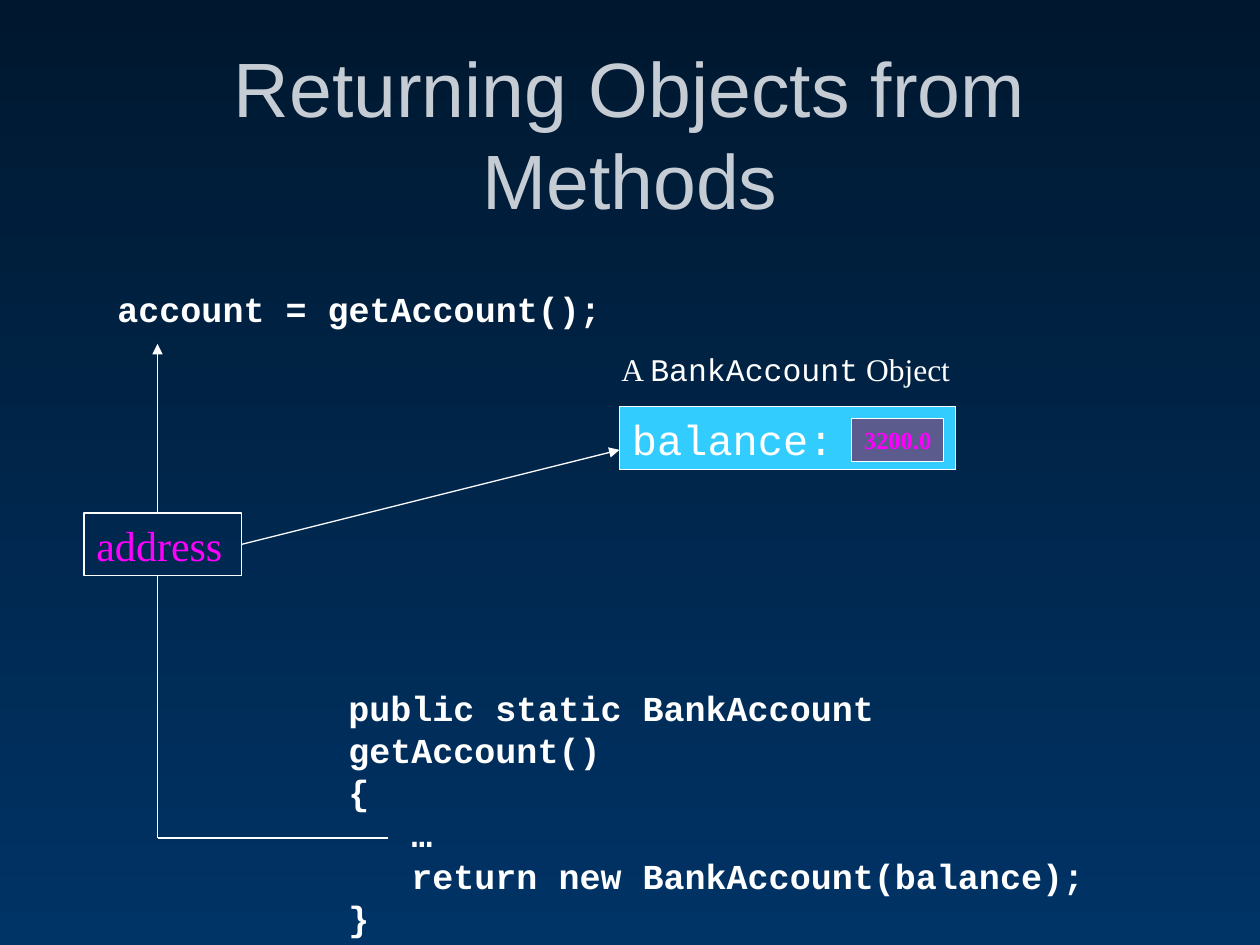
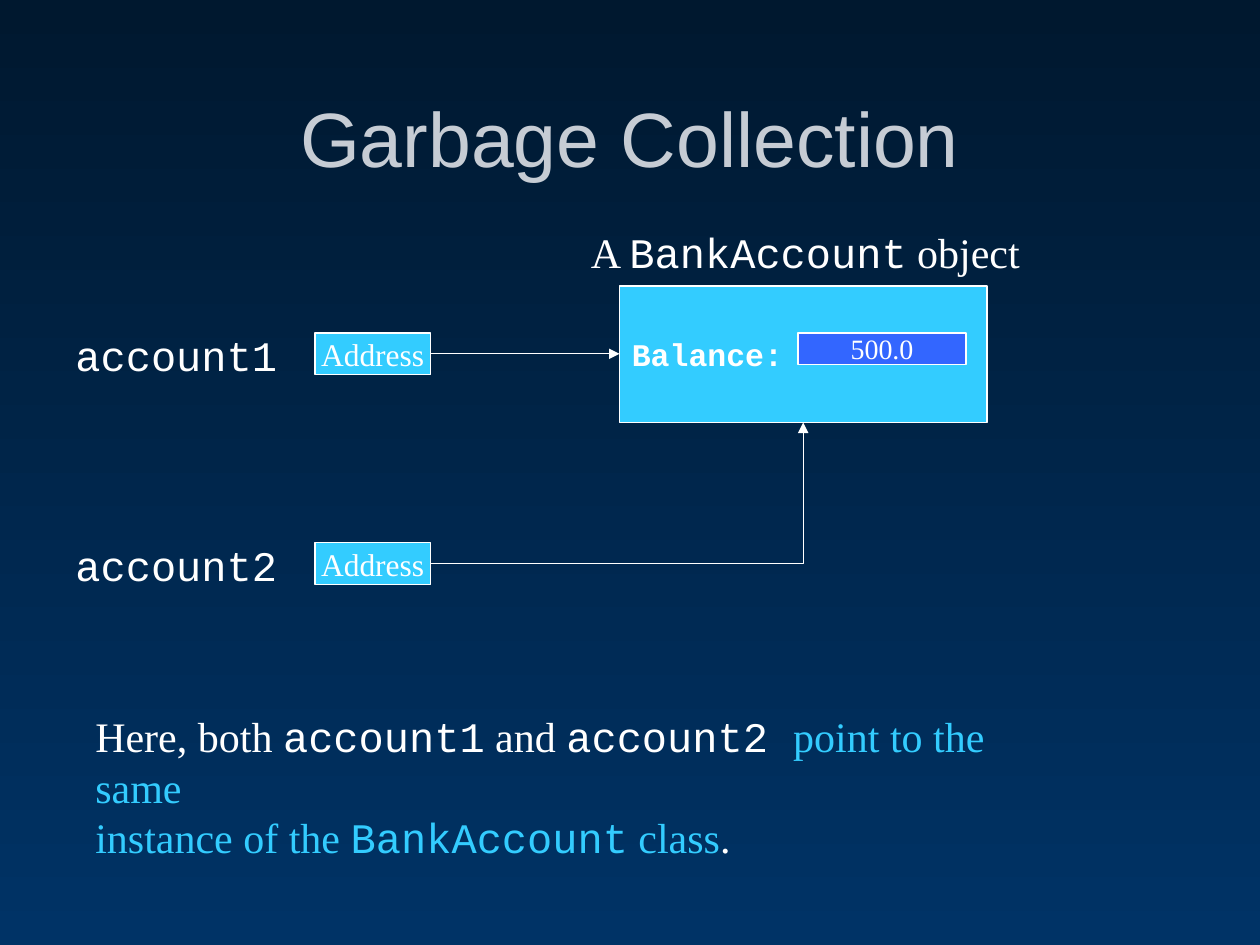
from lxml import etree
from pptx import Presentation
from pptx import util as u
from pptx.dml.color import RGBColor
from pptx.enum import shapes, text
from pptx.oxml.ns import qn

NIGHT = RGBColor(0x00, 0x18, 0x2F)
NAVY = RGBColor(0x00, 0x33, 0x66)
SILVER = RGBColor(0xC6, 0xCC, 0xD4)
WHITE = RGBColor(0xFF, 0xFF, 0xFF)
SKY = RGBColor(0x33, 0xCC, 0xFF)
BLUE = RGBColor(0x33, 0x66, 0xFF)
SLATE = RGBColor(0x5B, 0x5B, 0x8D)
MAGENTA = RGBColor(0xFF, 0x00, 0xFF)

SANS, MONO, SERIF = "Arial", "Courier New", "Times New Roman"
CENTER = text.PP_ALIGN.CENTER
TOP, MIDDLE, BOTTOM = (text.MSO_ANCHOR.TOP, text.MSO_ANCHOR.MIDDLE,
                       text.MSO_ANCHOR.BOTTOM)
COLUMNS, ROWS = 120, 90


class Deck:
    """Holds the style and the current slide; places are grid columns and rows."""

    def __init__(self):
        self.prs = Presentation()
        self.prs.slide_width, self.prs.slide_height = u.Inches(10), u.Inches(7.5)
        self.slide = None

    def grid(self, *lengths):
        """Turn alternating columns and rows into lengths on the slide."""
        cells = (self.prs.slide_width / COLUMNS, self.prs.slide_height / ROWS)
        return [round(n * cells[i % 2]) for i, n in enumerate(lengths)]

    def start(self, title, top):
        self.slide = self.prs.slides.add_slide(self.prs.slide_layouts[6])
        fill = self.slide.background.fill
        fill.gradient()
        fill.gradient_angle = 270
        for stop, color in zip(fill.gradient_stops, (NIGHT, NAVY)):
            stop.color.rgb = color
        heading = self.label((6, top, 108, 15), [title], 44, SANS, SILVER,
                             align=CENTER, anchor=BOTTOM)
        heading.text_frame.margin_left = heading.text_frame.margin_right = u.Inches(0.2)

    def set_text(self, shape, lines, size, font, color=WHITE, bold=False,
                 align=text.PP_ALIGN.LEFT, anchor=TOP, wrap=True):
        """Each line is a string or a list of (text, font, colour) runs."""
        frame = shape.text_frame
        frame.word_wrap, frame.vertical_anchor = wrap, anchor
        for i, line in enumerate(lines):
            p = frame.add_paragraph() if i else frame.paragraphs[0]
            p.alignment = align
            p.font.size, p.font.bold = u.Pt(size), bold
            if isinstance(line, str):
                p.add_run().text = line
                p.font.name, p.font.color.rgb = font, color
                continue
            for words, run_font, run_color in line:
                run = p.add_run()
                run.text = words
                run.font.name, run.font.color.rgb = run_font, run_color
        return shape

    def label(self, place, lines, size, font, color=WHITE, **style):
        box = self.slide.shapes.add_textbox(*self.grid(*place))
        return self.set_text(box, lines, size, font, color, **style)

    def box(self, place, fill, words, size, font, color=WHITE, **style):
        rect = self.slide.shapes.add_shape(shapes.MSO_SHAPE.RECTANGLE, *self.grid(*place))
        rect.shadow.inherit = False
        if fill is None:
            rect.fill.background()
        else:
            rect.fill.solid()
            rect.fill.fore_color.rgb = fill
        rect.line.color.rgb, rect.line.width = WHITE, u.Pt(0.75)
        return self.set_text(rect, [words], size, font, color, **style)

    def line(self, start, end, arrow=True, bent=False):
        kind = shapes.MSO_CONNECTOR.ELBOW if bent else shapes.MSO_CONNECTOR.STRAIGHT
        link = self.slide.shapes.add_connector(kind, *self.grid(*start, *end))
        link.line.color.rgb, link.line.width = WHITE, u.Pt(0.75)
        props = link.element.spPr
        if bent:
            props.find(qn("a:prstGeom")).set("prst", "bentConnector2")
        if arrow:
            etree.SubElement(props.find(qn("a:ln")), qn("a:tailEnd"), type="triangle")
        etree.SubElement(props, qn("a:effectLst"))

    def object_caption(self, place, size, noun):
        runs = [("A ", SERIF, WHITE), ("BankAccount", MONO, WHITE), (noun, SERIF, WHITE)]
        self.label(place, [runs], size, SERIF, wrap=False)


def returning_objects(deck):
    deck.start("Returning Objects from Methods", top=7)

    # Calling statement and method body
    deck.label((10, 26.75, 51, 5.3), ["account = getAccount();"], 20, MONO, bold=True)
    deck.label((32, 64.8, 78.5, 21.25), [
        "public static BankAccount getAccount()",
        "{",
        "   …",
        "   return new BankAccount(balance);",
        "}",
    ], 20, MONO, bold=True, wrap=False)

    # The object and the address that refers to it
    deck.box((59, 38.75, 32, 6), SKY, "balance:", 24, MONO)
    deck.box((81.1, 39.85, 8.75, 4.1), SLATE, "3200.0", 14, SERIF, MAGENTA,
             bold=True, wrap=False)
    deck.box((8, 48.85, 15, 6), None, "address", 24, SERIF, MAGENTA)

    # Route of the address from the return statement to the variable
    deck.line((15, 48.85), (15, 32.75))
    deck.line((37, 79.8), (15, 79.8), arrow=False)
    deck.line((15, 79.8), (15, 54.85), arrow=False)
    deck.line((23, 51.85), (59, 42.85))
    deck.object_caption((58, 32.75, 33.85, 4.8), 18, " Object")


def garbage_collection(deck):
    deck.start("Garbage Collection", top=3)

    # The shared object
    deck.object_caption((55.1, 21, 43.45, 6), 24, " object")
    deck.box((59, 27.25, 35, 13), SKY, "Balance:", 18, MONO, bold=True, anchor=MIDDLE)
    deck.box((76, 31.7, 16, 3), BLUE, "500.0", 16, SERIF,
             align=CENTER, anchor=MIDDLE, wrap=False)

    # Two variables, each with its address
    for i, variable in enumerate(("account1", "account2")):
        drop = 20 * i
        deck.label((6, 30.75 + drop, 22, 6), [variable], 24, MONO)
        deck.box((30, 31.7 + drop, 11, 4), SKY, "Address", 18, SERIF,
                 align=CENTER, anchor=MIDDLE, wrap=False)
    deck.line((41, 33.7), (59, 33.7))
    deck.line((41, 53.7), (76.5, 40.25), bent=True)

    # Conclusion
    deck.label((7.9, 67.1, 95, 10.8), [
        [("Here, both ", SERIF, WHITE), ("account1", MONO, WHITE),
         (" and ", SERIF, WHITE), ("account2 ", MONO, WHITE),
         ("point to the same", SERIF, SKY)],
        [("instance of the ", SERIF, SKY), ("BankAccount", MONO, SKY),
         (" class", SERIF, SKY), (".", SERIF, WHITE)],
    ], 24, SERIF, wrap=False)


def main():
    deck = Deck()
    returning_objects(deck)
    garbage_collection(deck)
    deck.prs.save("out.pptx")


if __name__ == "__main__":
    main()
